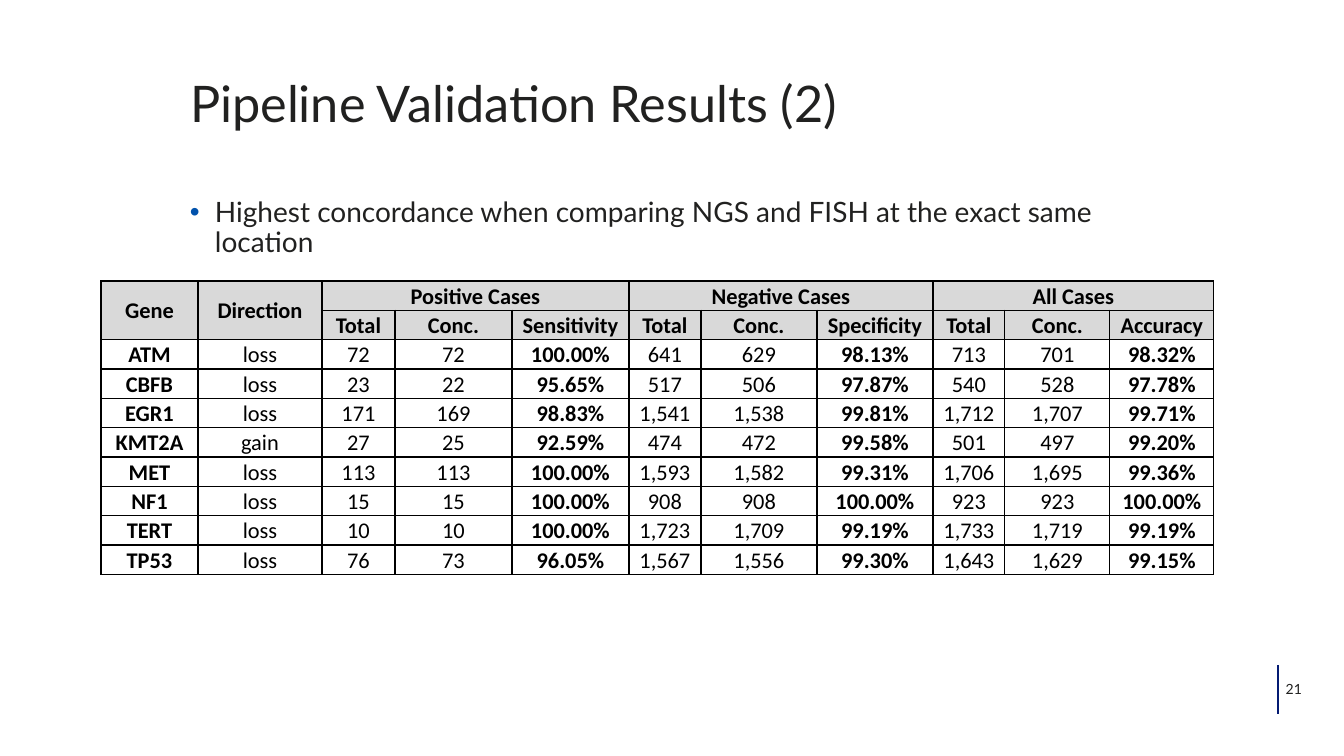
from dataclasses import dataclass

from lxml import etree
from pptx import Presentation
from pptx.dml.color import RGBColor
from pptx.enum.shapes import MSO_CONNECTOR
from pptx.enum.text import MSO_ANCHOR, MSO_AUTO_SIZE, PP_ALIGN
from pptx.oxml.ns import qn
from pptx.util import Pt

STRAIGHT = MSO_CONNECTOR.STRAIGHT
TOP, MIDDLE, BOTTOM = MSO_ANCHOR.TOP, MSO_ANCHOR.MIDDLE, MSO_ANCHOR.BOTTOM
LEFT, CENTER, RIGHT = PP_ALIGN.LEFT, PP_ALIGN.CENTER, PP_ALIGN.RIGHT
NO_AUTOFIT = MSO_AUTO_SIZE.NONE
EMU_PER_PX = 914400 / 100.8


@dataclass(frozen=True)
class Theme:
    text_font: str = "Lato"
    table_font: str = "Calibri"
    ink: str = "212120"
    table_ink: str = "000000"
    header_fill: str = "D9D9D9"
    bullet: str = "0152AC"
    rule: str = "041B73"
    title_size: int = 36
    body_size: int = 20
    table_size: int = 16
    number_size: int = 10


THEME = Theme()

COLUMN_WIDTHS = [97, 124, 73, 117, 117, 72, 116, 116, 72, 105, 104]
ROW_HEIGHT = 29
CASE_GROUPS = [
    ("Positive Cases", "Sensitivity"),
    ("Negative Cases", "Specificity"),
    ("All Cases", "Accuracy"),
]
GENE_RESULTS = [
    "ATM loss 72 72 100.00% 641 629 98.13% 713 701 98.32%",
    "CBFB loss 23 22 95.65% 517 506 97.87% 540 528 97.78%",
    "EGR1 loss 171 169 98.83% 1,541 1,538 99.81% 1,712 1,707 99.71%",
    "KMT2A gain 27 25 92.59% 474 472 99.58% 501 497 99.20%",
    "MET loss 113 113 100.00% 1,593 1,582 99.31% 1,706 1,695 99.36%",
    "NF1 loss 15 15 100.00% 908 908 100.00% 923 923 100.00%",
    "TERT loss 10 10 100.00% 1,723 1,709 99.19% 1,733 1,719 99.19%",
    "TP53 loss 76 73 96.05% 1,567 1,556 99.30% 1,643 1,629 99.15%",
]


def px(length):
    return round(length * EMU_PER_PX)


def place(shape, left, top, width, height):
    shape.left, shape.top = px(left), px(top)
    shape.width, shape.height = px(width), px(height)


def add_run(paragraph, text, font, size, color, bold=False):
    run = paragraph.add_run()
    run.text = text
    run.font.name = font
    run.font.size = Pt(size)
    run.font.bold = bold
    run.font.color.rgb = RGBColor.from_string(color)


def fill_frame(shape, text, size, anchor, align):
    frame = shape.text_frame
    frame.word_wrap = True
    frame.auto_size = NO_AUTOFIT
    frame.vertical_anchor = anchor
    frame.margin_left = frame.margin_right = 0
    frame.margin_top = frame.margin_bottom = 0
    paragraph = frame.paragraphs[0]
    paragraph.alignment = align
    add_run(paragraph, text, THEME.text_font, size, THEME.ink)
    return paragraph


def add_title(slide, text):
    title = slide.shapes.title
    place(title, 190, -43, 1113, 176)
    paragraph = fill_frame(title, text, THEME.title_size, BOTTOM, LEFT)
    paragraph.line_spacing = 0.9


def add_bullet(slide, text):
    finding = slide.shapes.add_textbox(px(190), px(198), px(998), px(61))
    paragraph = fill_frame(finding, text, THEME.body_size, TOP, LEFT)
    paragraph.line_spacing = 0.9
    paragraph.space_after = Pt(3)
    properties = paragraph._p.get_or_add_pPr()
    properties.set("marL", str(px(25)))
    properties.set("indent", str(-px(25)))
    bullet_color = etree.SubElement(properties, qn("a:buClr"))
    etree.SubElement(bullet_color, qn("a:srgbClr"), val=THEME.bullet)
    etree.SubElement(properties, qn("a:buFont"), typeface="Arial")
    etree.SubElement(properties, qn("a:buChar"), char="•")


def add_page_number(slide, number):
    rule = slide.shapes.add_connector(STRAIGHT, px(1278), px(665), px(1278), px(714))
    rule.line.color.rgb = RGBColor.from_string(THEME.rule)
    rule.line.width = Pt(1)
    etree.SubElement(rule._element.spPr, qn("a:effectLst"))
    page = slide.shapes.add_textbox(px(1262), px(665), px(40), px(48))
    fill_frame(page, number, THEME.number_size, MIDDLE, RIGHT)


def add_borders(cell):
    properties = cell._tc.get_or_add_tcPr()
    for side in ("lnL", "lnR", "lnT", "lnB"):
        border = etree.SubElement(properties, qn(f"a:{side}"), w=str(Pt(1)))
        fill = etree.SubElement(border, qn("a:solidFill"))
        etree.SubElement(fill, qn("a:srgbClr"), val=THEME.table_ink)


def format_cell(cell, is_header):
    cell.margin_left = cell.margin_right = px(7)
    cell.margin_top = cell.margin_bottom = 0
    cell.vertical_anchor = MIDDLE
    add_borders(cell)
    if is_header:
        cell.fill.solid()
        cell.fill.fore_color.rgb = RGBColor.from_string(THEME.header_fill)
    else:
        cell.fill.background()


def write_cell(cell, text, bold):
    paragraph = cell.text_frame.paragraphs[0]
    paragraph.alignment = CENTER
    paragraph.line_spacing = 1.07
    add_run(paragraph, text, THEME.table_font, THEME.table_size, THEME.table_ink, bold)


def write_headers(table):
    for column, heading in enumerate(("Gene", "Direction")):
        table.cell(0, column).merge(table.cell(1, column))
        write_cell(table.cell(0, column), heading, True)
    for group, (cases, measure) in enumerate(CASE_GROUPS):
        first = 2 + 3 * group
        table.cell(0, first).merge(table.cell(0, first + 2))
        table.cell(0, first).vertical_anchor = BOTTOM
        write_cell(table.cell(0, first), cases, True)
        for offset, heading in enumerate(("Total", "Conc.", measure)):
            write_cell(table.cell(1, first + offset), heading, True)


def add_results_table(slide):
    row_count = 2 + len(GENE_RESULTS)
    frame = slide.shapes.add_table(
        row_count, len(COLUMN_WIDTHS), px(101), px(281),
        px(sum(COLUMN_WIDTHS)), px(ROW_HEIGHT * row_count))
    table = frame.table
    table.first_row = table.horz_banding = False
    for column, width in zip(table.columns, COLUMN_WIDTHS):
        column.width = px(width)
    for index, row in enumerate(table.rows):
        row.height = px(ROW_HEIGHT)
        for cell in row.cells:
            format_cell(cell, index < 2)
    write_headers(table)
    for row, result in enumerate(GENE_RESULTS, start=2):
        for column, value in enumerate(result.split()):
            write_cell(table.cell(row, column), value, column == 0 or value.endswith("%"))


def main():
    deck = Presentation()
    deck.slide_width, deck.slide_height = px(1344), px(756)
    slide = deck.slides.add_slide(deck.slide_layouts[5])
    add_page_number(slide, "21")
    add_title(slide, "Pipeline Validation Results (2)")
    add_bullet(slide, "Highest concordance when comparing NGS and FISH at the exact same location")
    add_results_table(slide)
    deck.save("out.pptx")


if __name__ == "__main__":
    main()
